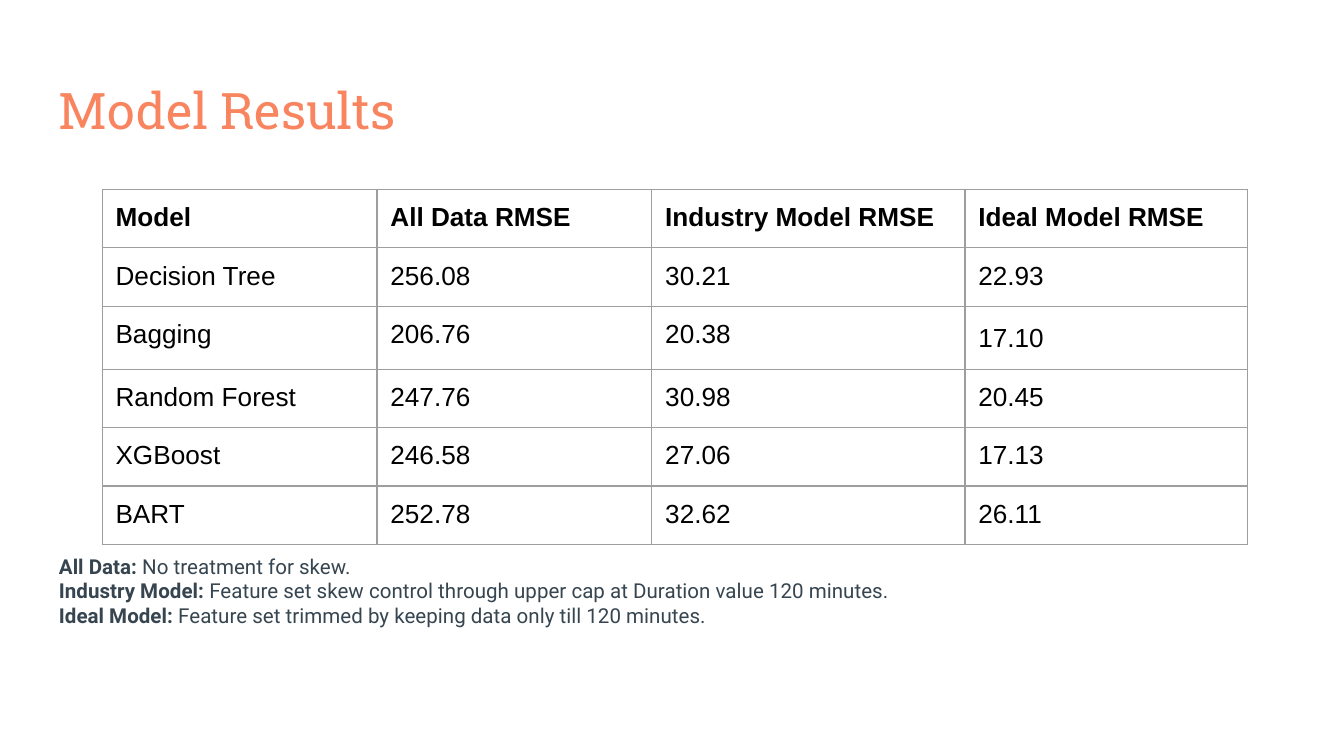
from lxml import etree
from pptx import Presentation
from pptx.dml.color import RGBColor
from pptx.enum.text import MSO_ANCHOR
from pptx.oxml.ns import qn
from pptx.util import Emu, Pt

TOP = MSO_ANCHOR.TOP
PX = 4572
INSET = 20
CORAL = RGBColor(0xF8, 0x85, 0x5F)
SLATE = RGBColor(0x36, 0x45, 0x4F)
BLACK = RGBColor(0x00, 0x00, 0x00)
GREY = RGBColor(0x9E, 0x9E, 0x9E)
COLUMN_WIDTHS = [409, 409, 466, 420]
ROW_HEIGHT = 87
RESULTS = [
    ["Model", "All Data RMSE", "Industry Model RMSE", "Ideal Model RMSE"],
    ["Decision Tree", "256.08", "30.21", "22.93"],
    ["Bagging", "206.76", "20.38", "17.10"],
    ["Random Forest", "247.76", "30.98", "20.45"],
    ["XGBoost", "246.58", "27.06", "17.13"],
    ["BART", "252.78", "32.62", "26.11"],
]
LOOSE_CELL = (2, 3)
NOTES = [
    ("All Data:", " No treatment for skew."),
    ("Industry Model:", " Feature set skew control through upper cap at Duration value 120 minutes."),
    ("Ideal Model:", " Feature set trimmed by keeping data only till 120 minutes."),
]


def px(length):
    """Turn px into EMU."""
    return Emu(length * PX)


def set_insets(target):
    """Give a text frame or a cell the common inset on every side."""
    target.margin_left = target.margin_right = px(INSET)
    target.margin_top = target.margin_bottom = px(INSET)


def add_span(para, text, font, size, color, bold=False):
    """Add one styled run to a paragraph."""
    span = para.add_run()
    span.text = text
    span.font.name = font
    span.font.size = Pt(size)
    span.font.color.rgb = color
    span.font.bold = bold


def add_frame(page, left, top, width, height):
    """Add a wrapping text box and return its text frame."""
    box = page.shapes.add_textbox(px(left), px(top), px(width), px(height))
    frame = box.text_frame
    frame.word_wrap = True
    frame.vertical_anchor = TOP
    set_insets(frame)
    return frame


def add_title(page, left, top, width, height):
    """Place the slide title."""
    frame = add_frame(page, left, top, width, height)
    add_span(frame.paragraphs[0], "Model Results", "Roboto Slab", 27, CORAL)


def set_borders(cell):
    """Draw a thin grey line on all four sides of a cell."""
    properties = cell._tc.get_or_add_tcPr()
    for place, side in enumerate(("a:lnL", "a:lnR", "a:lnT", "a:lnB")):
        line = etree.Element(qn(side), w=str(Pt(0.75)))
        fill = etree.SubElement(line, qn("a:solidFill"))
        etree.SubElement(fill, qn("a:srgbClr"), val=str(GREY))
        properties.insert(place, line)


def add_results(page, left, top):
    """Place the table of model errors."""
    table = page.shapes.add_table(
        len(RESULTS), len(COLUMN_WIDTHS), px(left), px(top),
        px(sum(COLUMN_WIDTHS)), px(ROW_HEIGHT * len(RESULTS))).table
    table.first_row = False
    table.horz_banding = False
    for column, width in zip(table.columns, COLUMN_WIDTHS):
        column.width = px(width)
    for row, values in enumerate(RESULTS):
        for column, value in enumerate(values):
            cell = table.cell(row, column)
            cell.fill.background()
            cell.vertical_anchor = TOP
            set_insets(cell)
            set_borders(cell)
            para = cell.text_frame.paragraphs[0]
            if (row, column) == LOOSE_CELL:
                para.line_spacing = 1.15
            add_span(para, value, "Arial", 14, BLACK, row == 0)


def add_notes(page, left, top, width, height):
    """Place the explanations of the three data sets."""
    frame = add_frame(page, left, top, width, height)
    for index, (label, text) in enumerate(NOTES):
        para = frame.add_paragraph() if index else frame.paragraphs[0]
        add_span(para, label, "Roboto", 11, SLATE, True)
        add_span(para, text, "Roboto", 11, SLATE)


def main():
    """Build and save the deck."""
    deck = Presentation()
    deck.slide_width, deck.slide_height = px(2000), px(1125)
    page = deck.slides.add_slide(deck.slide_layouts[6])
    add_title(page, 68, 98, 1864, 126)
    add_results(page, 152, 282)
    add_notes(page, 68, 804, 1790, 294)
    deck.save("out.pptx")


if __name__ == "__main__":
    main()
